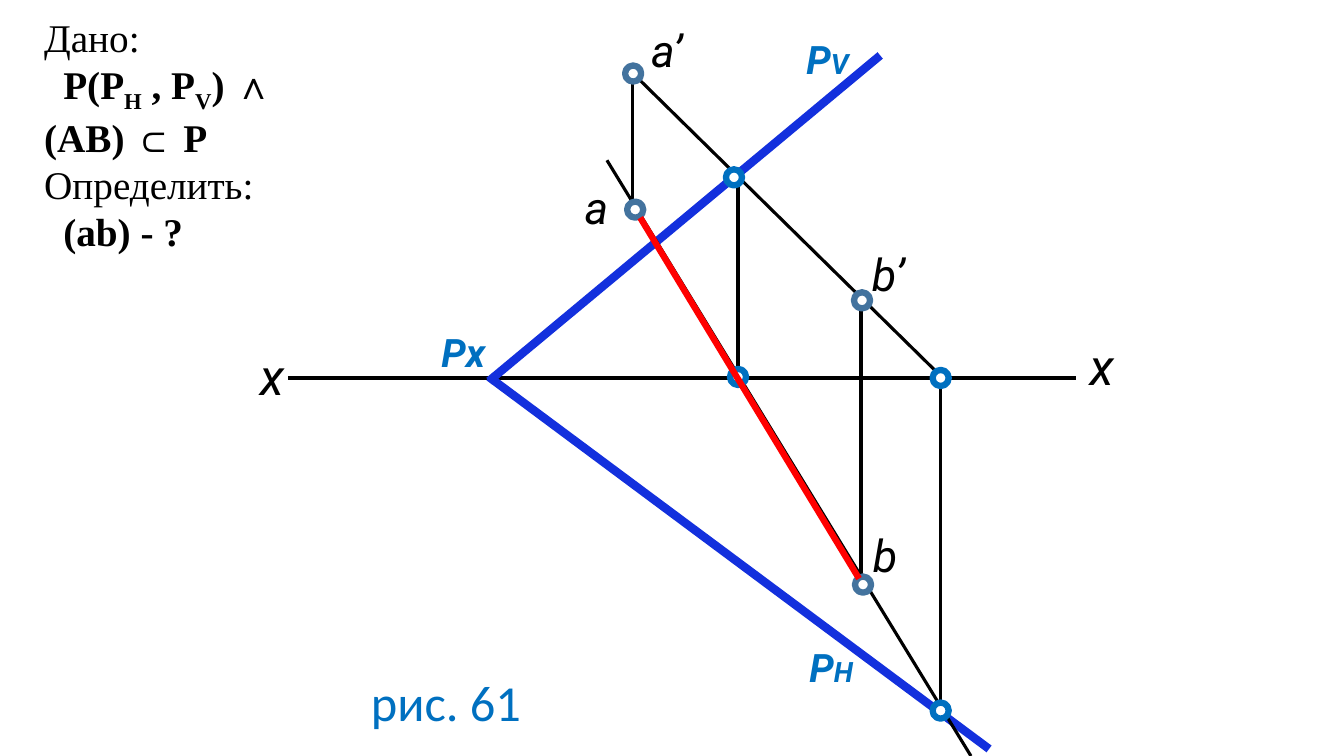
from typing import NamedTuple

from lxml.etree import SubElement
from pptx import Presentation
from pptx.dml.color import RGBColor
from pptx.enum.shapes import MSO_CONNECTOR as Connector, MSO_SHAPE as Shape
from pptx.enum.text import MSO_AUTO_SIZE as AutoSize
from pptx.oxml.ns import qn
from pptx.util import Pt

PX = 9144  # EMU in one px, 100 px to the inch
RING = 16
BLACK, WHITE, RED = "000000", "FFFFFF", "FF0000"
TRACE_BLUE, LABEL_BLUE, POINT_BLUE = "1330DD", "0070C0", "43739E"


class Line(NamedTuple):
    x1: int
    y1: int
    x2: int
    y2: int
    color: str = BLACK
    width: float = 2.25


class Ring(NamedTuple):
    left: int
    top: int
    color: str = LABEL_BLUE


class Label(NamedTuple):
    text: str
    left: int
    top: int
    width: int
    height: int
    size: int = 32
    color: str = BLACK
    bold: bool = False
    italic: bool = True
    font: str = "Roboto"
    wrap: bool = True
    index: str = ""  # smaller letter after the text


class Given(NamedTuple):
    terms: tuple[str, ...]  # every second term is a subscript
    bold: bool = False
    indent: int = 0


PROJECTIONS = [
    Line(627, 72, 933, 373),                     # a'b'
    Line(286, 375, 1067, 375, width=3),          # x axis
    Line(873, 55, 485, 378, TRACE_BLUE, 6),      # trace PV
    Line(981, 743, 485, 374, TRACE_BLUE, 6),     # trace PH
    Line(963, 750, 602, 159),                    # ab extended
    Line(854, 588, 854, 291),
    Line(732, 378, 732, 174),
    Line(627, 206, 627, 71),
    Line(933, 709, 933, 374),
]
SEGMENT_AB = Line(852, 574, 635, 216, RED, 4.5)

POINTS = [
    Ring(622, 200, POINT_BLUE),
    Ring(724, 366),
    Ring(720, 168),
    Ring(925, 697),
    Ring(925, 367),
    Ring(848, 572, POINT_BLUE),
    Ring(847, 290, POINT_BLUE),
    Ring(620, 65, POINT_BLUE),
]

LABELS = [
    Label("x", 248, 337, 43, 71, 36),
    Label("x", 1071, 328, 43, 71, 36),
    Label("a’", 636, 18, 60, 64),
    Label("a", 570, 173, 52, 64),
    Label("b’", 855, 240, 60, 64),
    Label("b", 856, 519, 60, 64),
    Label("Px", 428, 321, 89, 57, 28, LABEL_BLUE, True),
    Label("P", 793, 633, 89, 57, 28, LABEL_BLUE, True, index="H"),
    Label("P", 790, 30, 89, 57, 28, LABEL_BLUE, True, index="V"),
    Label("рис. 61", 358, 661, 171, 71, 36, LABEL_BLUE,
          italic=False, font="Calibri", wrap=False),
]

PROBLEM = [
    Given(("Дано:",)),
    Given(("P(P", "H", " , P", "V", ") ∧"), True, 19),
    Given(("(AB) ⊂ P",), True),
    Given(("Определить:",)),
    Given(("(ab) - ?",), True, 19),
]


def rgb(color: str) -> RGBColor:
    return RGBColor.from_string(color)


def draw_line(slide, line: Line) -> None:
    ends = (v * PX for v in (line.x1, line.y1, line.x2, line.y2))
    connector = slide.shapes.add_connector(Connector.STRAIGHT, *ends)
    connector.line.color.rgb = rgb(line.color)
    connector.line.width = Pt(line.width)
    SubElement(connector._element.spPr, qn("a:effectLst"))


def draw_ring(slide, ring: Ring) -> None:
    point = slide.shapes.add_shape(Shape.OVAL, ring.left * PX, ring.top * PX,
                                   RING * PX, RING * PX)
    point.shadow.inherit = False
    point.fill.solid()
    point.fill.fore_color.rgb = rgb(WHITE)
    point.line.color.rgb = rgb(ring.color)
    point.line.width = Pt(4.5)


def add_frame(slide, left: int, top: int, width: int, height: int, wrap: bool = True):
    box = slide.shapes.add_textbox(left * PX, top * PX, width * PX, height * PX)
    frame = box.text_frame
    frame.word_wrap = wrap
    frame.auto_size = AutoSize.SHAPE_TO_FIT_TEXT
    return frame


def set_font(font, name: str, size: int, color: str, bold: bool, italic: bool) -> None:
    font.name, font.size = name, Pt(size)
    font.bold, font.italic = bold, italic
    font.color.rgb = rgb(color)


def draw_label(slide, label: Label) -> None:
    frame = add_frame(slide, label.left, label.top, label.width, label.height, label.wrap)
    paragraph = frame.paragraphs[0]
    paragraph.add_run().text = label.text
    set_font(paragraph.font, label.font, label.size, label.color, label.bold, label.italic)
    if label.index:
        index = paragraph.add_run()
        index.text = label.index
        index.font.size = Pt(20)


def draw_problem(slide, problem: list[Given]) -> None:
    frame = add_frame(slide, 34, 8, 360, 246)
    for row, given in enumerate(problem):
        paragraph = frame.add_paragraph() if row else frame.paragraphs[0]
        if given.indent:
            paragraph._p.get_or_add_pPr().set("indent", str(given.indent * PX))
        set_font(paragraph.font, "Times New Roman", 28, BLACK, given.bold, False)
        for number, term in enumerate(given.terms):
            run = paragraph.add_run()
            run.text = term
            if number % 2:
                run.font._element.set("baseline", "-25000")


def main() -> None:
    prs = Presentation()
    prs.slide_width, prs.slide_height = 1333 * PX, 750 * PX
    slide = prs.slides.add_slide(prs.slide_layouts[6])

    # Axis, plane traces and projection lines
    for line in PROJECTIONS:
        draw_line(slide, line)

    # Points, with the sought segment over them
    for ring in POINTS:
        draw_ring(slide, ring)
    draw_line(slide, SEGMENT_AB)

    # Names of points and traces, figure caption
    for label in LABELS:
        draw_label(slide, label)

    # Problem statement
    draw_problem(slide, PROBLEM)
    prs.save("out.pptx")


if __name__ == "__main__":
    main()
